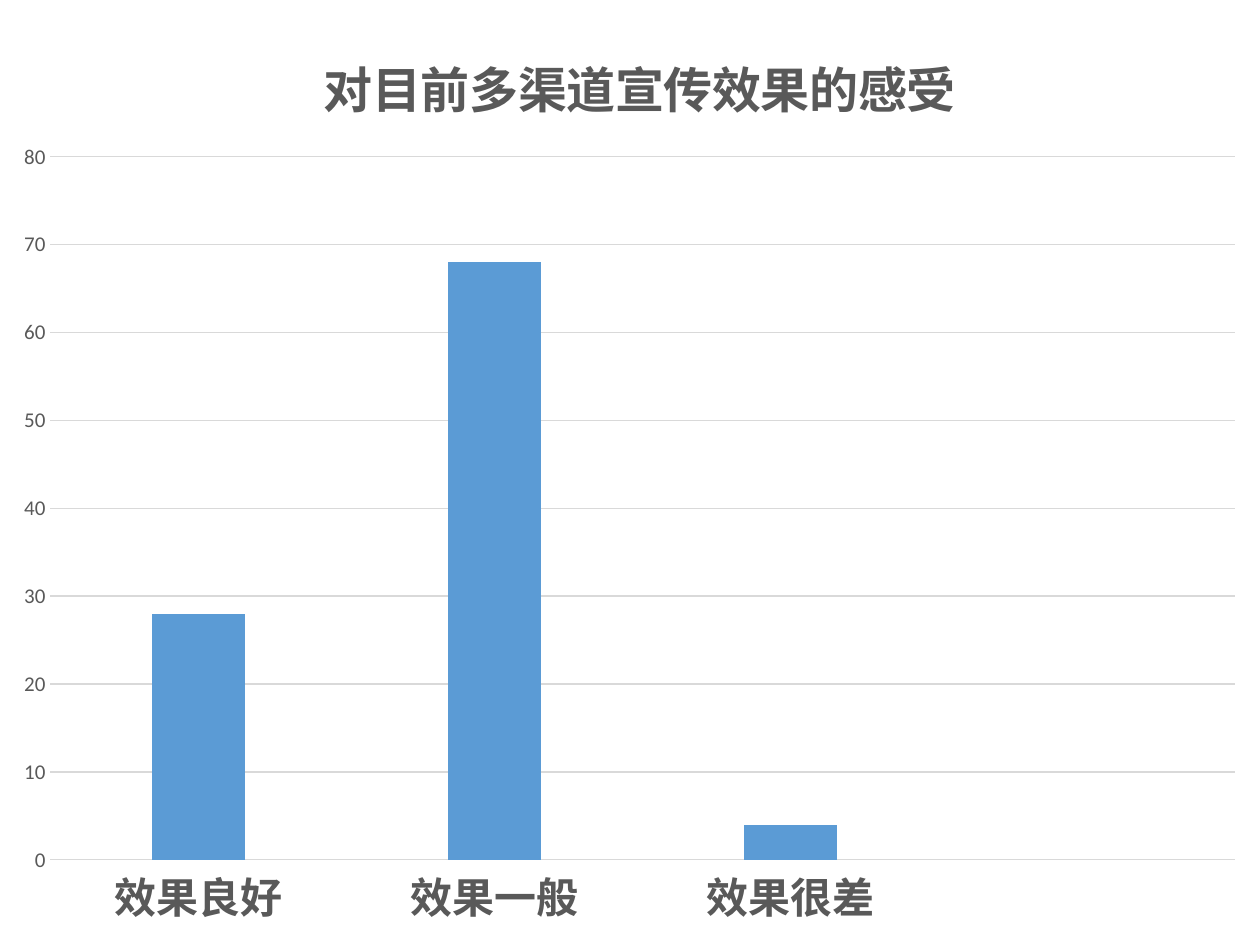
from dataclasses import dataclass

from lxml import etree
from pptx import Presentation
from pptx import util as u
from pptx.chart.data import CategoryChartData
from pptx.dml.color import RGBColor
from pptx.enum import chart as charts
from pptx.oxml.ns import qn


@dataclass(frozen=True)
class Theme:
    text: str = "595959"
    line: str = "D9D9D9"
    bar: str = "5B9BD5"
    latin_font: str = "Calibri"
    chinese_font: str = "Noto Sans CJK SC"
    title_size: float = 28
    category_size: float = 24
    value_size: float = 12
    line_width: float = 0.75


def place(parent, index, target=None, **fractions):
    """Insert a manual layout, in fractions of the chart, as child number index."""
    for old_layout in parent.findall(qn("c:layout")):
        parent.remove(old_layout)
    layout = etree.Element(qn("c:layout"))
    manual = etree.SubElement(layout, qn("c:manualLayout"))
    settings = {"layoutTarget": target} if target else {}
    settings.update(xMode="edge", yMode="edge", **fractions)
    for tag, value in settings.items():
        etree.SubElement(manual, qn(f"c:{tag}")).set("val", str(value))
    parent.insert(index, layout)


class SlideBuilder:
    def __init__(self, slide, theme):
        self.slide = slide
        self.theme = theme

    def style_font(self, font, name, size, bold=False):
        font.name = name
        font.size = u.Pt(size)
        font.bold = bold
        font.color.rgb = RGBColor.from_string(self.theme.text)

    def style_line(self, line):
        line.color.rgb = RGBColor.from_string(self.theme.line)
        line.width = u.Pt(self.theme.line_width)

    def add_title(self, chart, title):
        text_frame = chart.chart_title.text_frame
        text_frame.text = title
        self.style_font(text_frame.paragraphs[0].runs[0].font,
                        self.theme.chinese_font, self.theme.title_size, bold=True)

    def style_axes(self, chart):
        theme = self.theme
        category_axis, value_axis = chart.category_axis, chart.value_axis
        for axis in (category_axis, value_axis):
            axis.major_tick_mark = axis.minor_tick_mark = charts.XL_TICK_MARK.NONE
        self.style_font(category_axis.tick_labels.font,
                        theme.chinese_font, theme.category_size, bold=True)
        self.style_line(category_axis.format.line)

        self.style_font(value_axis.tick_labels.font, theme.latin_font, theme.value_size)
        value_axis.minimum_scale, value_axis.maximum_scale = 0, 80
        value_axis.major_unit = 10
        value_axis.format.line.fill.background()
        self.style_line(value_axis.major_gridlines.format.line)

    def add_column_chart(self, title, categories, values, left, top, width, height):
        data = CategoryChartData()
        data.categories = categories
        data.add_series("Series 1", values)
        chart = self.slide.shapes.add_chart(
            charts.XL_CHART_TYPE.COLUMN_CLUSTERED, left, top, width, height, data).chart
        chart.has_legend = False
        chart.font.name = self.theme.latin_font
        chart.font.size = u.Pt(10)
        self.add_title(chart, title)
        self.style_axes(chart)

        plot = chart.plots[0]
        plot.gap_width, plot.overlap = 219, -27
        plot.vary_by_categories = False
        fill = plot.series[0].format.fill
        fill.solid()
        fill.fore_color.rgb = RGBColor.from_string(self.theme.bar)

        chart_space = chart.element if hasattr(chart, "element") else chart._chartSpace
        place(next(chart_space.iter(qn("c:title"))), 1, x=0.25, y=0.04)
        place(next(chart_space.iter(qn("c:plotArea"))), 0, "inner",
              x=0.04, y=0.166, w=0.94, h=0.744)
        for latin in list(chart_space.iter(qn("a:latin"))):
            east_asian = etree.Element(qn("a:ea"))
            east_asian.set("typeface", latin.get("typeface"))
            latin.addnext(east_asian)


def main():
    presentation = Presentation()
    presentation.slide_width, presentation.slide_height = u.Inches(10), u.Inches(7.5)
    slide = presentation.slides.add_slide(presentation.slide_layouts[6])
    builder = SlideBuilder(slide, Theme())
    builder.add_column_chart(
        "对目前多渠道宣传效果的感受",
        ["效果良好", "效果一般", "效果很差", ""],
        [28, 68, 4, None],
        u.Inches(0), u.Inches(0), u.Inches(10), u.Inches(7.5))
    presentation.save("out.pptx")


if __name__ == "__main__":
    main()
